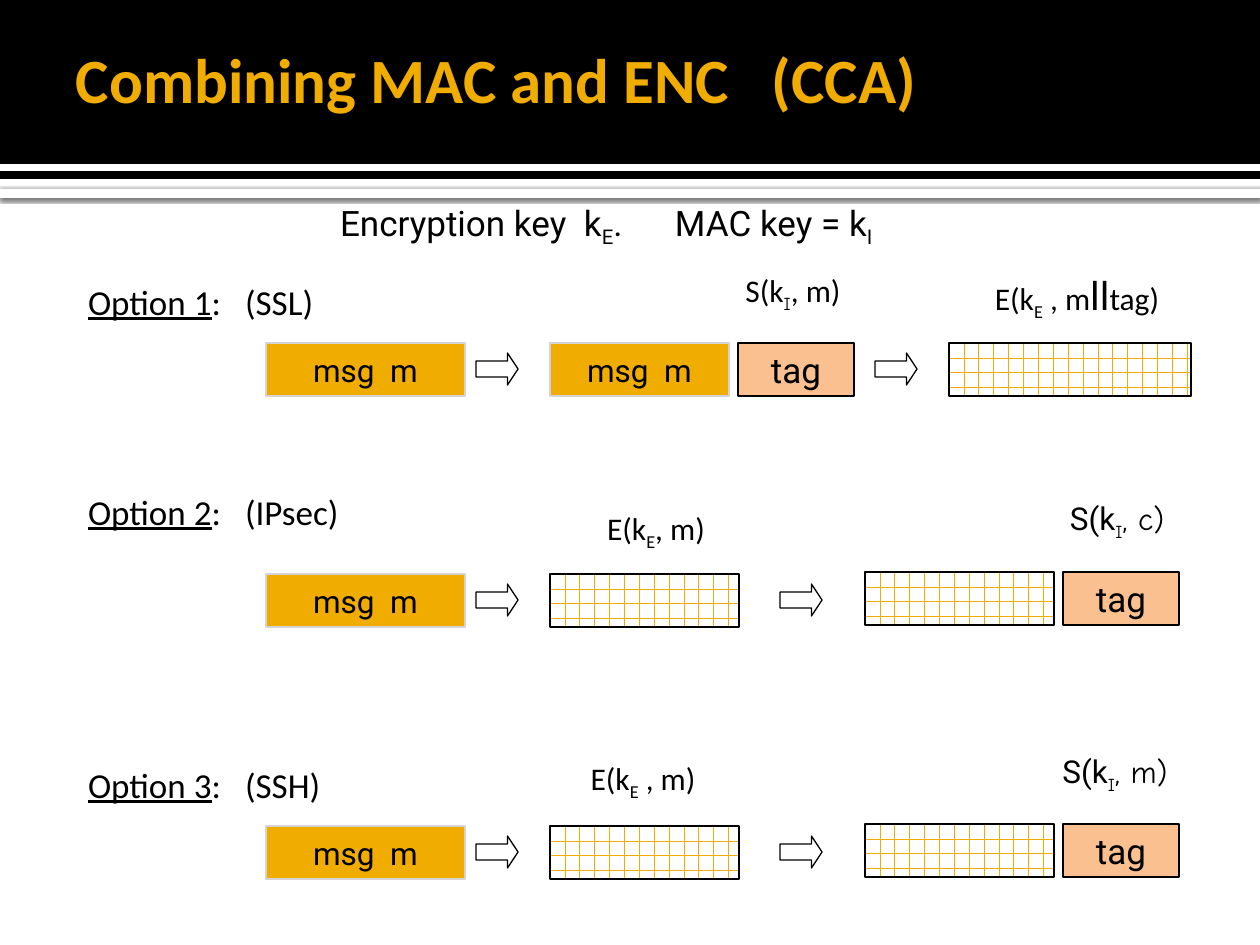
from lxml import etree
from pptx import Presentation
from pptx import util as u
from pptx.dml.color import RGBColor
from pptx.enum import dml, shapes, text
from pptx.oxml.ns import qn

BLACK = RGBColor(0, 0, 0)
WHITE = RGBColor(255, 255, 255)
GOLD = RGBColor(0xF0, 0xAD, 0x00)
SILVER = RGBColor(0xD4, 0xD4, 0xD6)
PEACH = RGBColor(0xFA, 0xC0, 0x90)
SUB = {"base": -25000}
COMIC_SUB = {"base": -25000, "font": "Comic Neue"}
COMIC = {"font": "Comic Neue"}


def px(n):
    """Turn pixels, 126 to the inch, into EMU."""
    return u.Emu(round(n * 914400 / 126))


def write(tf, runs, font="Calibri", size=18, color=BLACK, bold=False,
          align=text.PP_ALIGN.CENTER, anchor=text.MSO_ANCHOR.TOP,
          wrap=False, margins=(13, 6), tab=None):
    """Fill a text frame with (text, overrides) runs in one paragraph."""
    tf.word_wrap = wrap
    tf.vertical_anchor = anchor
    tf.margin_left = tf.margin_right = px(margins[0])
    tf.margin_top = tf.margin_bottom = px(margins[1])
    p = tf.paragraphs[0]
    p.alignment = align
    if tab:
        tabs = etree.SubElement(p._p.get_or_add_pPr(), qn("a:tabLst"))
        etree.SubElement(tabs, qn("a:tab"), pos=str(px(tab)), algn="l")
    for words, fmt in runs:
        r = p.add_run()
        r.text = words
        r.font.name = fmt.get("font", font)
        r.font.size = u.Pt(fmt.get("size", size))
        r.font.bold = bold
        r.font.color.rgb = color
        if fmt.get("underline"):
            r.font.underline = True
        if "base" in fmt:
            r._r.get_or_add_rPr().set("baseline", str(fmt["base"]))


def add_text(s, box, runs, **fmt):
    """Add a text box at (x, y, w, h)."""
    write(s.shapes.add_textbox(*map(px, box)).text_frame, runs, **fmt)


def add_line_text(s, box, runs, **fmt):
    """Add a left-aligned text box without margins."""
    add_text(s, box, runs, align=text.PP_ALIGN.LEFT, wrap=True,
             margins=(0, 0), **fmt)


def add_block(s, box, fill=None, line=None, width=0.75,
              kind=shapes.MSO_SHAPE.RECTANGLE):
    """Add a preset shape with a plain fill and outline."""
    sp = s.shapes.add_shape(kind, *map(px, box))
    sp.shadow.inherit = False
    if fill is None:
        sp.fill.background()
    else:
        sp.fill.solid()
        sp.fill.fore_color.rgb = fill
    if line is None:
        sp.line.fill.background()
    else:
        sp.line.color.rgb = line
        sp.line.width = u.Pt(width)
    return sp


def add_message(s, x, y, w):
    """Add a gold message block."""
    sp = add_block(s, (x, y, w, 53), GOLD, SILVER)
    write(sp.text_frame, [("msg  m", {})], font="Roboto",
          anchor=text.MSO_ANCHOR.MIDDLE)


def add_tag(s, x, y):
    """Add a peach tag block."""
    sp = add_block(s, (x, y, 116, 53), PEACH, BLACK, 1.5)
    write(sp.text_frame, [("tag", {})], font="Roboto", size=20,
          anchor=text.MSO_ANCHOR.MIDDLE)


def add_cipher(s, x, y, w):
    """Add a brick-patterned ciphertext block."""
    sp = add_block(s, (x, y, w, 53), line=BLACK)
    sp.fill.patterned()
    sp.fill.pattern = dml.MSO_PATTERN.HORIZONTAL_BRICK
    sp.fill.fore_color.rgb = GOLD
    sp.fill.back_color.rgb = WHITE


def add_arrow(s, x, y):
    """Add an outlined arrow centred on a row of blocks."""
    sp = add_block(s, (x, y + 10, 42, 32), line=BLACK,
                   kind=shapes.MSO_SHAPE.RIGHT_ARROW)
    sp.adjustments[1] = 0.33


def add_option(s, x, y, number, protocol):
    """Add the heading of one option."""
    add_line_text(s, (x, y, 400, 44),
                  [(f"Option {number}", {"underline": True}),
                   (f":\t({protocol})", {})], size=20, tab=157)


def header(s, w):
    """Draw the title band with its stripes."""
    band = add_block(s, (0, 189, w, 9), WHITE)
    effects = band._element.spPr.find(qn("a:effectLst"))
    shadow = etree.SubElement(effects, qn("a:outerShdw"), blurRad="31750",
                              dist="10160", dir="5400000", rotWithShape="0")
    color = etree.SubElement(shadow, qn("a:srgbClr"), val="000000")
    etree.SubElement(color, qn("a:alpha"), val="60000")
    add_block(s, (0, 0, w, 179), BLACK)
    stripe = s.shapes.add_connector(shapes.MSO_CONNECTOR.STRAIGHT,
                                    px(0), px(168), px(w), px(168))
    stripe.line.color.rgb = WHITE
    stripe.line.width = u.Pt(4)
    etree.SubElement(stripe._element.spPr, qn("a:effectLst"))
    add_line_text(s, (76, 10, 1020, 136),
                  [("Combining MAC and ENC\t(CCA)", {})], size=36,
                  color=GOLD, bold=True, anchor=text.MSO_ANCHOR.MIDDLE,
                  tab=696)


def keys(s, x, y):
    """Write the line that names both keys."""
    add_line_text(s, (x, y, 700, 44),
                  [("Encryption key  k", {}), ("E", SUB),
                   (".\tMAC key = k", {}), ("I", SUB)],
                  font="Roboto", size=20, tab=335)


def mac_then_encrypt(s, x, y, number, protocol):
    """Draw the row that tags the message and then encrypts both."""
    add_option(s, x - 178, y - 63, number, protocol)
    add_message(s, x, y, 199)
    add_arrow(s, x + 210, y)
    add_message(s, x + 284, y, 179)
    add_tag(s, x + 472, y)
    add_arrow(s, x + 609, y)
    add_cipher(s, x + 683, y, 242)
    add_text(s, (x + 457, y - 78, 140, 50),
             [("S(k", {}), ("I", COMIC_SUB), (", m)", {})])
    add_text(s, (x + 701, y - 80, 220, 63),
             [("E(k", {}), ("E", SUB), (" , m", {}), ("ll", {"size": 24}),
              ("tag)", {})])


def encrypt_beside_mac(s, x, y, number, protocol, head, enc, mac):
    """Draw a row that encrypts the message and appends a tag."""
    (enc_x, enc_y, enc_end), (mac_x, mac_y, mac_end) = enc, mac
    add_option(s, x - 178, y + head, number, protocol)
    add_message(s, x, y, 199)
    add_arrow(s, x + 210, y)
    add_cipher(s, x + 284, y, 189)
    add_arrow(s, x + 514, y)
    add_cipher(s, x + 599, y - 2, 189)
    add_tag(s, x + 797, y - 2)
    add_text(s, (x + enc_x, y + enc_y, 160, 50),
             [("E(k", {}), ("E", SUB), (enc_end, {})])
    add_text(s, (x + mac_x, y + mac_y, 160, 50),
             [("S(k", {}), ("I", COMIC_SUB), (mac_end, COMIC)],
             font="Roboto")


def main():
    """Build the slide and save it."""
    prs = Presentation()
    prs.slide_width, prs.slide_height = px(1260), px(945)
    s = prs.slides.add_slide(prs.slide_layouts[6])
    header(s, 1260)
    keys(s, 340, 201)
    mac_then_encrypt(s, 266, 343, 1, "SSL")
    encrypt_beside_mac(s, 266, 574, 2, "IPsec", -84,
                       (310, -71, ", m)"), (771, -81, ", c)"))
    encrypt_beside_mac(s, 266, 826, 3, "SSH", -63,
                       (297, -73, " , m)"), (769, -80, ", m)"))
    prs.save("out.pptx")


if __name__ == "__main__":
    main()
